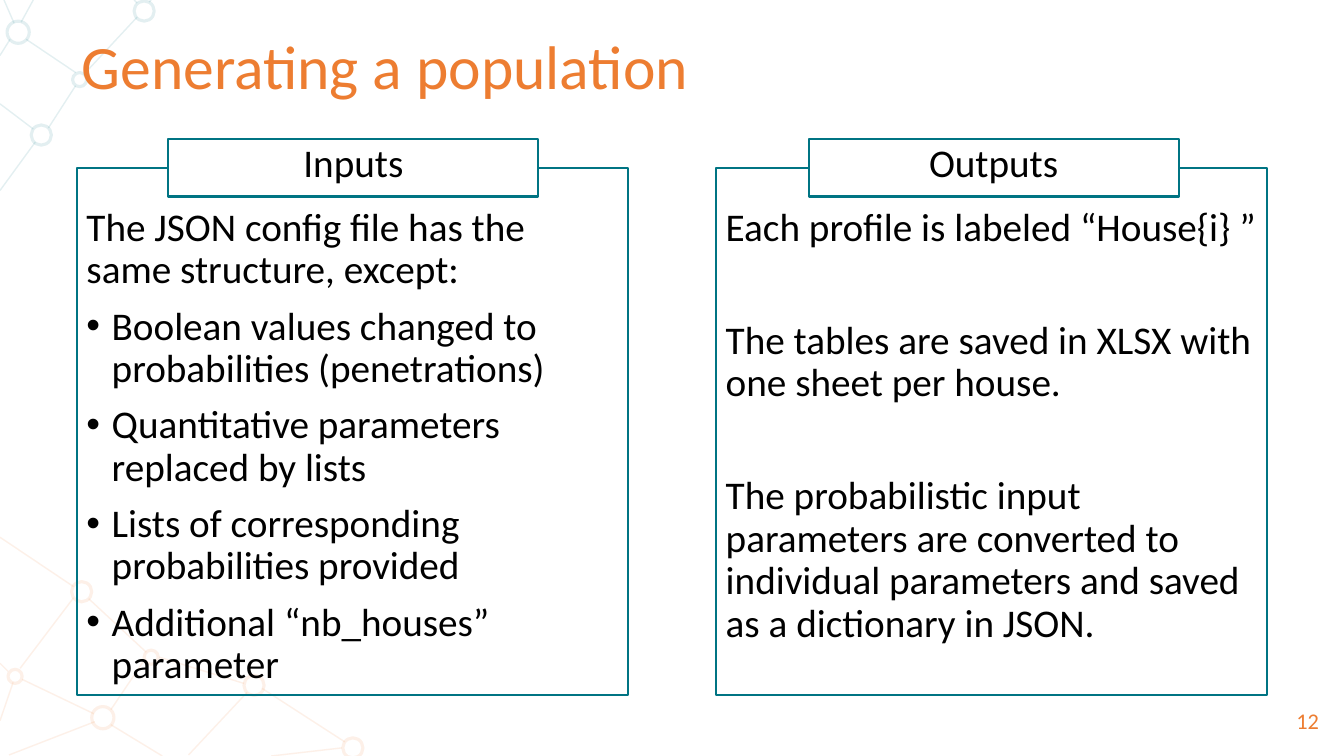
from pptx import Presentation
from pptx.dml.color import RGBColor
from pptx.enum.shapes import MSO_CONNECTOR as CONNECTOR, MSO_SHAPE as SHAPE
from pptx.enum.text import MSO_ANCHOR as ANCHOR, MSO_AUTO_SIZE as AUTO, PP_ALIGN as ALIGN
from pptx.oxml.ns import qn
from pptx.util import Inches, Pt
from lxml import etree

COLORS = {"orange": "ED7D31", "teal": "007483", "black": "000000", "white": "FFFFFF"}
FONT = "Calibri"


def write(box, items, size=28, color="black", align=ALIGN.LEFT, anchor=ANCHOR.TOP,
          top=0.05, spacing=0.9, before=10):
    """Fill a box; items are (text, bulleted, extra space before in points)."""
    frame = box.text_frame
    frame.word_wrap = True
    frame.auto_size = AUTO.NONE
    frame.vertical_anchor = anchor
    frame.margin_left = frame.margin_right = Inches(0.1)
    frame.margin_top, frame.margin_bottom = Inches(top), Inches(0.05)
    for index, (text, bulleted, extra) in enumerate(items):
        para = frame.paragraphs[0] if index == 0 else frame.add_paragraph()
        para.alignment = align
        para.line_spacing = spacing
        para.space_before = Pt(before + extra)
        if bulleted:
            properties = para._p.get_or_add_pPr()
            properties.set("marL", str(Inches(0.25)))
            properties.set("indent", str(Inches(-0.25)))
            etree.SubElement(properties, qn("a:buFont")).set("typeface", "Arial")
            etree.SubElement(properties, qn("a:buChar")).set("char", "•")
        span = para.add_run()
        span.text = text
        span.font.name = FONT
        span.font.size = Pt(size)
        span.font.color.rgb = RGBColor.from_string(COLORS[color])


def outline(shape, color, width, opacity=100):
    """Set a solid outline, see-through when opacity is below 100 percent."""
    shape.line.color.rgb = RGBColor.from_string(COLORS[color])
    shape.line.width = Pt(width)
    if opacity < 100:
        tint = shape.line._get_or_add_ln().find(".//" + qn("a:srgbClr"))
        etree.SubElement(tint, qn("a:alpha")).set("val", str(opacity * 1000))


deck = Presentation()
deck.slide_width, deck.slide_height = Inches(13.33), Inches(7.5)
page = deck.slides.add_slide(deck.slide_layouts[5])

# Faint networks in the left corners: links (x1, y1, x2, y2), nodes (x, y, diameter)
networks = {
    "orange": (
        [(1.1, 7.19, 1.61, 7.5), (0.94, 7.16, 0.09, 7.49), (0.13, 6.77, 0, 7.15),
         (0.93, 7.08, 0.22, 6.74), (0, 5.33, 0.73, 5.82), (0.73, 5.93, 0.2, 6.63),
         (0, 6.58, 0.08, 6.66), (2.45, 6.87, 1.87, 7.49), (3.39, 7.42, 2.69, 7.5),
         (3.42, 7.36, 2.6, 6.83), (1.58, 6.52, 2.42, 6.78), (0.88, 5.94, 1.45, 6.47),
         (1.43, 6.55, 1.1, 7.04)],
        [(0.91, 7.01, 0.22), (0.08, 6.64, 0.14), (2.42, 6.7, 0.2),
         (0.71, 5.77, 0.2), (1.43, 6.45, 0.14), (3.4, 7.32, 0.2)]),
    "teal": (
        [(0.1, 0.39, 0, 0.55), (0.14, 0.23, 0.04, 0), (0.21, 0.22, 0.33, 0),
         (1.5, 0, 1.48, 0.02), (1.36, 0.03, 1.33, 0), (0.33, 1.28, 0, 1.03),
         (0, 1.89, 0.35, 1.41), (0.75, 0.85, 0.48, 1.27), (1.36, 0.17, 0.83, 0.74),
         (0.75, 0.72, 0.26, 0.39)],
        [(0.07, 0.21, 0.22), (0.31, 1.24, 0.2), (1.33, 0.01, 0.2), (0.72, 0.72, 0.14)]),
}
for color, (links, nodes) in networks.items():
    for ends in links:
        link = page.shapes.add_connector(CONNECTOR.STRAIGHT, *map(Inches, ends))
        outline(link, color, 1, opacity=11)
        etree.SubElement(link.element.spPr, qn("a:effectLst"))
    for left, top, diameter in nodes:
        node = page.shapes.add_shape(SHAPE.OVAL, Inches(left), Inches(top),
                                     Inches(diameter), Inches(diameter))
        node.shadow.inherit = False
        node.fill.background()
        outline(node, color, 2.25, opacity=11)

# Page number
number = page.shapes.add_textbox(Inches(12.39), Inches(6.95), Inches(0.79), Inches(0.4))
write(number, [("12", False, 0)], size=16, color="orange", align=ALIGN.RIGHT,
      anchor=ANCHOR.MIDDLE, spacing=1, before=0)

# Two panels, each with a heading box over its top edge
panels = [
    (0.76, 1.67, "Inputs", [
        ("The JSON config file has the same structure, except:", False, 0),
        ("Boolean values changed to probabilities (penetrations)", True, 0),
        ("Quantitative parameters replaced by lists", True, 0),
        ("Lists of corresponding probabilities provided", True, 0),
        ("Additional “nb_houses” parameter", True, 0)]),
    (7.1, 8.02, "Outputs", [
        ("Each profile is labeled “House{i} ”", False, 0),
        ("The tables are saved in XLSX with one sheet per house.", False, 40.5),
        ("The probabilistic input parameters are converted to individual parameters "
         "and saved as a dictionary in JSON.", False, 40.5)]),
]
for panel_left, heading_left, heading_text, items in panels:
    panel = page.shapes.add_shape(SHAPE.RECTANGLE, Inches(panel_left), Inches(1.67),
                                  Inches(5.47), Inches(5.23))
    panel.fill.background()
    write(panel, items, top=0.39)
    heading = page.shapes.add_shape(SHAPE.RECTANGLE, Inches(heading_left), Inches(1.38),
                                    Inches(3.67), Inches(0.57))
    heading.fill.solid()
    heading.fill.fore_color.rgb = RGBColor.from_string(COLORS["white"])
    write(heading, [(heading_text, False, 0)], align=ALIGN.CENTER)
    for box in (panel, heading):
        box.shadow.inherit = False
        outline(box, "teal", 1.5)

# Title, brought in front of the network
title = page.shapes.title
title.left, title.top = Inches(0.71), Inches(0.04)
title.width, title.height = Inches(12.05), Inches(1.29)
write(title, [("Generating a population", False, 0)], size=44, color="orange",
      anchor=ANCHOR.MIDDLE, before=0)
page.shapes.element.append(title.element)

deck.save("out.pptx")
